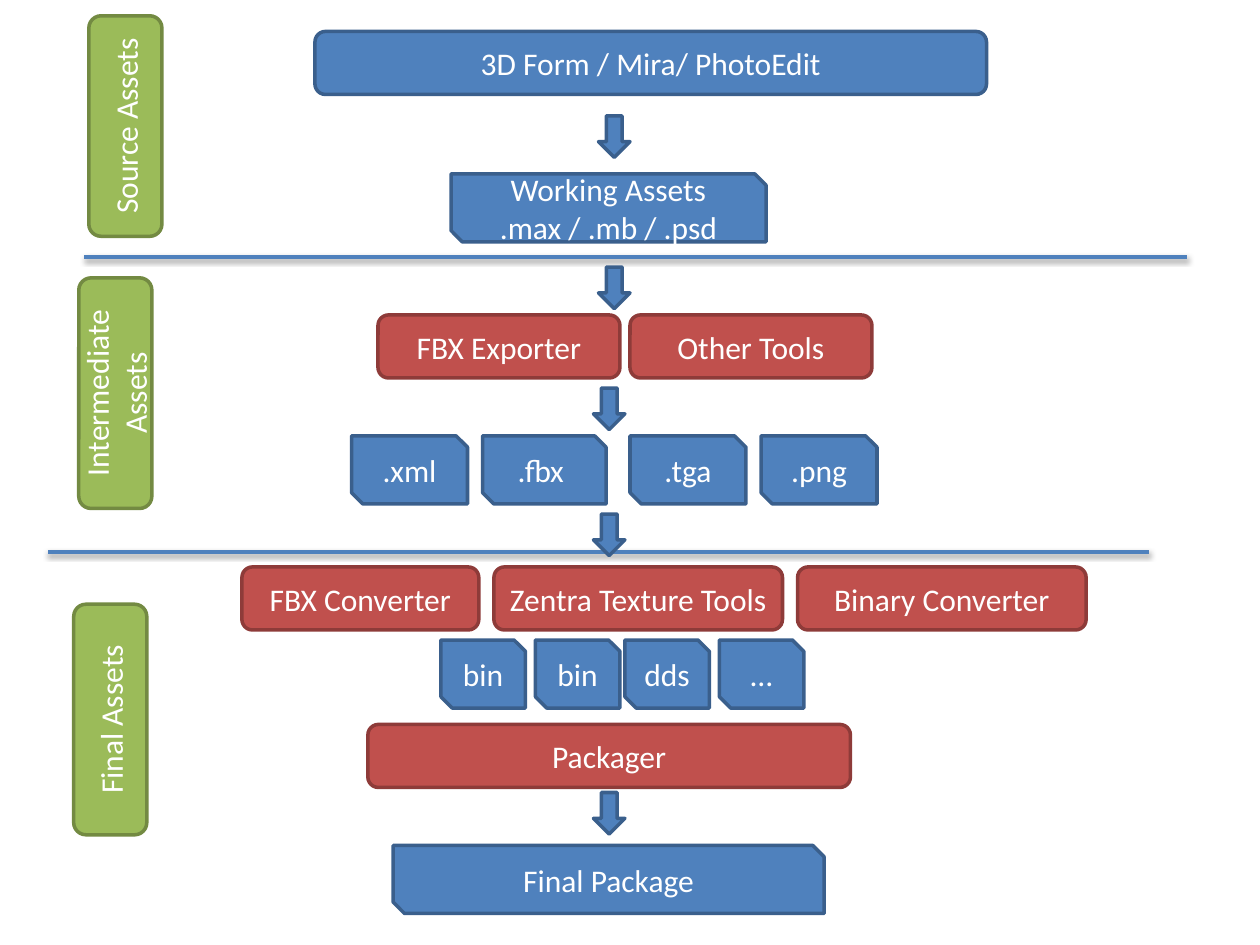
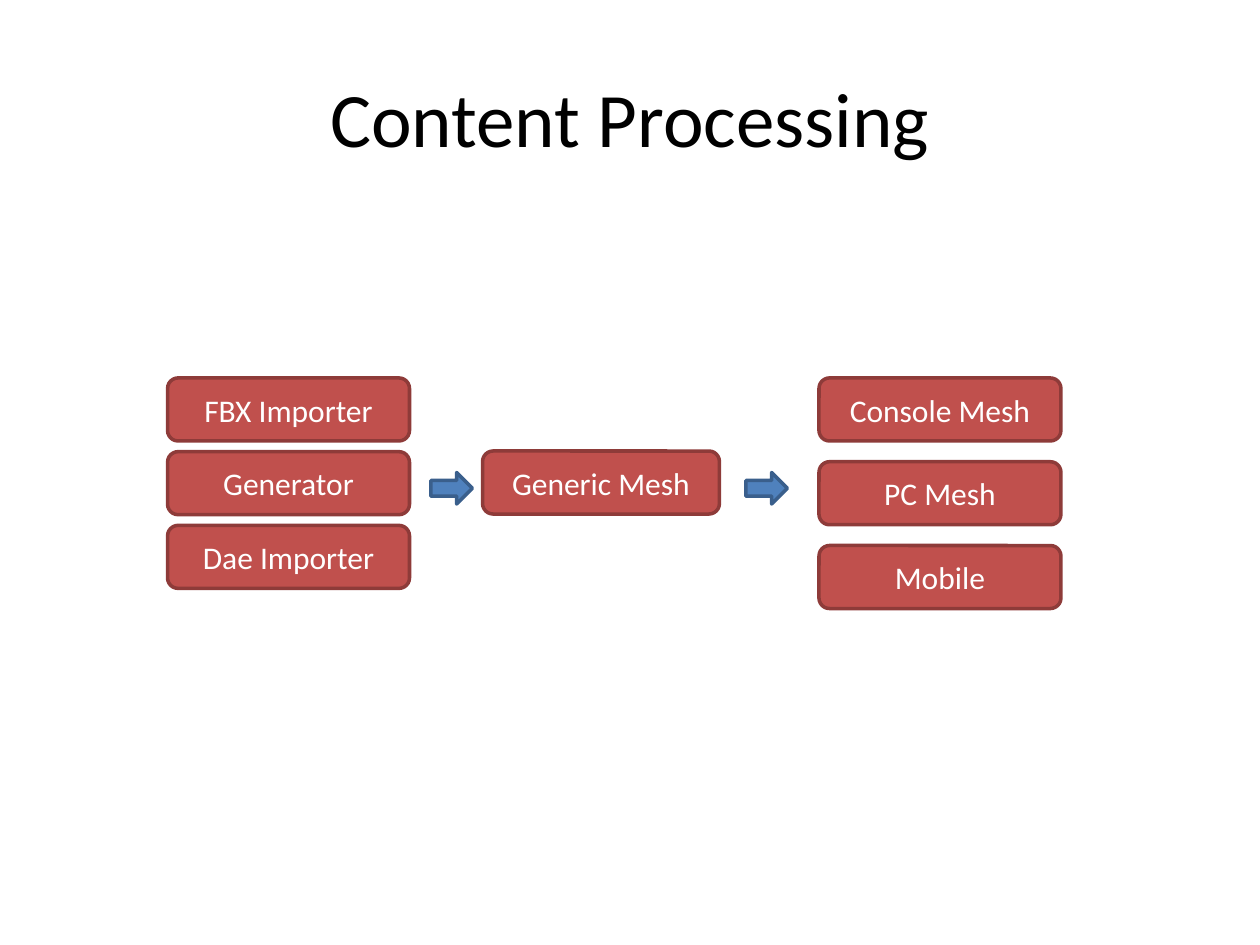
from lxml.etree import SubElement
from pptx import Presentation
from pptx.dml.color import RGBColor
from pptx.enum.shapes import MSO_CONNECTOR as Conn, MSO_SHAPE as Shape
from pptx.enum.text import MSO_ANCHOR as Anchor, PP_ALIGN as Align
from pptx.oxml.ns import qn
from pptx.util import Inches, Pt

# Shared style
FONT = "Calibri"
HEX = {
    "blue": "4F81BD", "navy": "3A5F8C", "red": "C0504D", "wine": "8E3B39",
    "green": "9BBB59", "moss": "738A42", "white": "FFFFFF", "black": "000000",
}
# kind: preset, fill, line, height
KINDS = {
    "app": (Shape.ROUNDED_RECTANGLE, "blue", "navy", 0.5),
    "tool": (Shape.ROUNDED_RECTANGLE, "red", "wine", 0.5),
    "file": (Shape.SNIP_2_DIAG_RECTANGLE, "blue", "navy", 0.54),
    "stage": (Shape.ROUNDED_RECTANGLE, "green", "moss", 0.58),
    "arrow": (Shape.DOWN_ARROW, "blue", "navy", 0.33),
}
ARROW_W = 0.25

# Slide 1: rows of (kind, top, [(text, left, width)])
ROWS = [
    ("app", 0.25, [("3D Form / Mira/ PhotoEdit", 2.5, 5.33)]),
    ("file", 1.38, [("Working Assets\n.max / .mb / .psd", 3.58, 2.5)]),
    ("tool", 2.5, [("FBX Exporter", 3, 1.92), ("Other Tools", 5, 1.92)]),
    ("file", 3.46, [(".xml", 2.79, 0.92), (".fbx ", 3.83, 0.98),
                    (".tga", 5, 0.92), (".png", 6.04, 0.92)]),
    ("tool", 4.5, [("FBX Converter", 1.92, 1.88),
                   ("Zentra Texture Tools", 3.92, 2.29),
                   ("Binary Converter", 6.33, 2.29)]),
    ("file", 5.08, [("bin", 3.5, 0.67), ("bin", 4.25, 0.67),
                    ("dds", 4.96, 0.67), ("…", 5.71, 0.67)]),
    ("tool", 5.75, [("Packager", 2.92, 3.83)]),
    ("file", 6.71, [("Final Package", 3.12, 3.42)]),
]
STAGES = [  # text, left, top, length before turning
    ("Source Assets", 0.12, 0.71, 1.75),
    ("Intermediate Assets", 0, 2.83, 1.83),
    ("Final Assets", -0.04, 5.42, 1.83),
]
RULES = [(9.42, 0.67, 2.04), (9.12, 0.38, 4.38)]  # from x, to x, y
DOWN = [(4.75, 0.92), (4.75, 2.12), (4.71, 3.08), (4.71, 4.08), (4.71, 6.29)]

# Slide 2: columns of (left, width, top, step, texts)
TITLE = "Content Processing"
COLS = [
    (1.33, 1.92, 3, 0.585, ["FBX Importer", "Generator", "Dae Importer"]),
    (3.83, 1.88, 3.58, 0, ["Generic Mesh"]),
    (6.5, 1.92, 3, 0.665, ["Console Mesh", "PC Mesh", "Mobile"]),
]
RIGHT = [(3.46, 3.71), (5.96, 3.71)]


def color(name):
    return RGBColor.from_string(HEX[name])


def write(shape, text, size, ink):
    frame = shape.text_frame
    frame.word_wrap = True
    frame.vertical_anchor = Anchor.MIDDLE
    frame.text = text
    for par in frame.paragraphs:
        par.alignment = Align.CENTER
        par.font.name = FONT
        par.font.size = Pt(size)
        par.font.color.rgb = color(ink)


def block(slide, kind, left, top, width, text="", turn=0):
    preset, fill, edge, height = KINDS[kind]
    shape = slide.shapes.add_shape(
        preset, Inches(left), Inches(top), Inches(width), Inches(height))
    shape.rotation = turn
    shape.shadow.inherit = False
    shape.fill.solid()
    shape.fill.fore_color.rgb = color(fill)
    shape.line.color.rgb = color(edge)
    shape.line.width = Pt(2)
    if text:
        write(shape, text, 18, "white")


def rule(slide, start, end, y):
    line = slide.shapes.add_connector(
        Conn.STRAIGHT, Inches(start), Inches(y), Inches(end), Inches(y))
    line.line.color.rgb = color("blue")
    line.line.width = Pt(2)
    # Soft shadow straight below the line
    effects = SubElement(line._element.spPr, qn("a:effectLst"))
    shade = SubElement(effects, qn("a:outerShdw"), blurRad=str(Pt(3.1)),
                       dist=str(Pt(1.6)), dir="5400000", rotWithShape="0")
    tint = SubElement(shade, qn("a:srgbClr"), val=HEX["black"])
    SubElement(tint, qn("a:alpha"), val="38000")


def pipeline(slide):
    for ends in RULES:
        rule(slide, *ends)
    for kind, top, items in ROWS:
        for text, left, width in items:
            block(slide, kind, left, top, width, text)
    for text, left, top, width in STAGES:
        block(slide, "stage", left, top, width, text, 270)
    for left, top in DOWN:
        block(slide, "arrow", left, top, ARROW_W)


def process(slide):
    title = slide.shapes.add_textbox(
        Inches(0.5), Inches(0.3), Inches(9), Inches(1.25))
    write(title, TITLE, 44, "black")
    for left, width, top, step, texts in COLS:
        for i, text in enumerate(texts):
            block(slide, "tool", left, top + i * step, width, text)
    for left, top in RIGHT:
        block(slide, "arrow", left, top, ARROW_W, turn=270)


def main():
    deck = Presentation()
    deck.slide_width, deck.slide_height = Inches(10), Inches(7.5)
    for draw in (pipeline, process):
        draw(deck.slides.add_slide(deck.slide_layouts[6]))
    deck.save("out.pptx")


if __name__ == "__main__":
    main()
